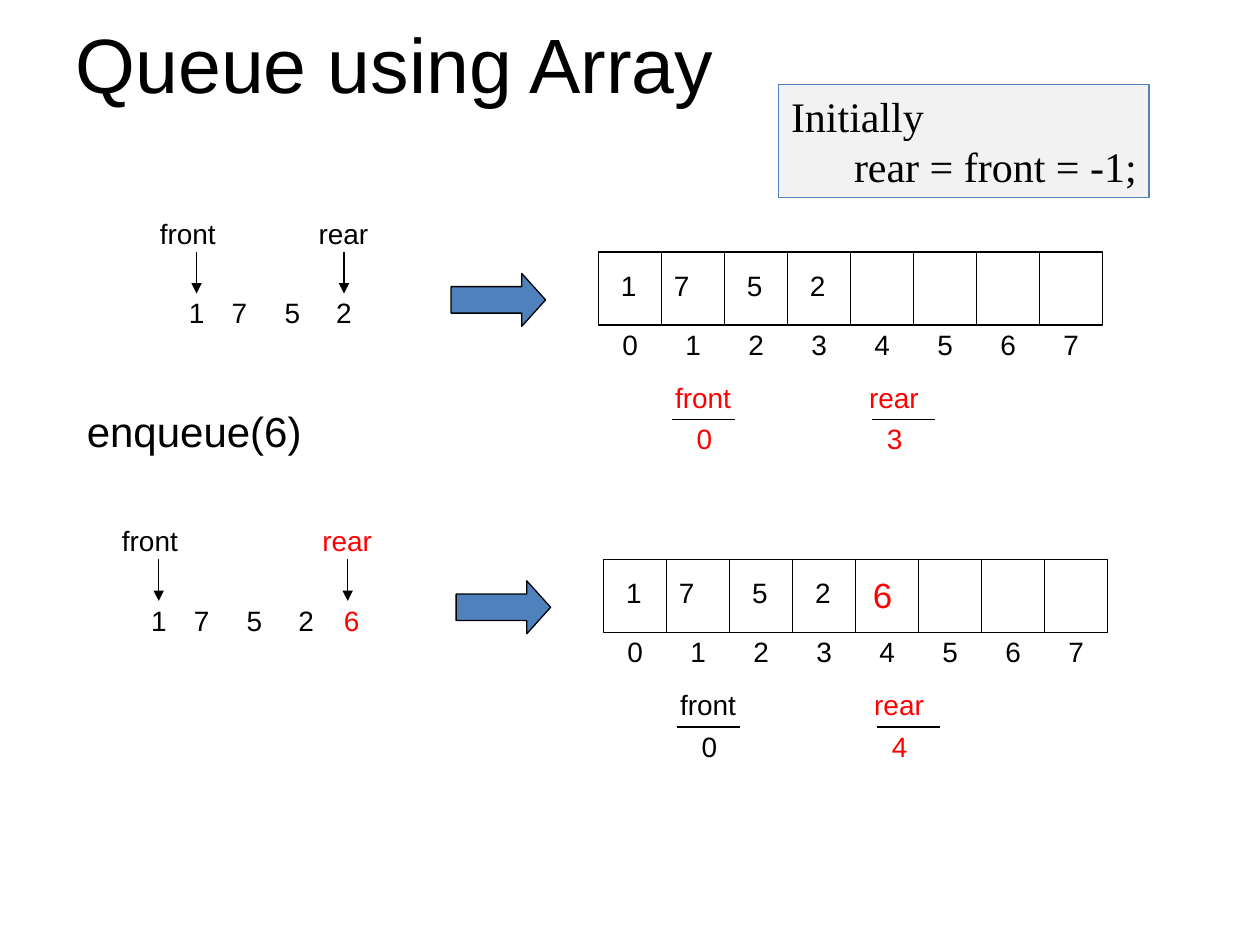
from dataclasses import dataclass

from lxml.etree import SubElement
from pptx import Presentation
from pptx.dml.color import RGBColor
from pptx.enum.shapes import MSO_CONNECTOR, MSO_SHAPE
from pptx.enum.text import MSO_ANCHOR, MSO_AUTO_SIZE, PP_ALIGN
from pptx.oxml.ns import qn
from pptx.util import Inches, Pt


@dataclass(frozen=True)
class Theme:
    black: RGBColor = RGBColor(0, 0, 0)
    red: RGBColor = RGBColor(255, 0, 0)
    white: RGBColor = RGBColor(255, 255, 255)
    blue: RGBColor = RGBColor(0x4F, 0x81, 0xBD)
    gray: RGBColor = RGBColor(0xF2, 0xF2, 0xF2)
    sans: str = "Arial"
    serif: str = "Times New Roman"
    title: Pt = Pt(44)
    heading: Pt = Pt(24)
    added: Pt = Pt(20)
    label: Pt = Pt(16)
    line: Pt = Pt(0.75)


THEME = Theme()
CELL_COUNT = 8
CELL_WIDTH = 0.5
CELL_HEIGHT = 0.58
DIGIT_WIDTH = 0.32
FRONT_WIDTH = 0.64
REAR_WIDTH = 0.6
LABEL_HEIGHT = 0.37


def set_font(paragraph, size, color, name=THEME.sans):
    paragraph.font.size = size
    paragraph.font.name = name
    paragraph.font.color.rgb = color
    paragraph.alignment = PP_ALIGN.LEFT


def add_label(shapes, text, left, top, width=DIGIT_WIDTH, color=THEME.black,
              size=THEME.label, height=LABEL_HEIGHT):
    box = shapes.add_textbox(Inches(left), Inches(top), Inches(width), Inches(height))
    box.text_frame.word_wrap = False
    box.text_frame.auto_size = MSO_AUTO_SIZE.SHAPE_TO_FIT_TEXT
    paragraph = box.text_frame.paragraphs[0]
    paragraph.text = text
    set_font(paragraph, size, color)


def add_line(shapes, start, end, arrow=False):
    x1, y1, x2, y2 = (Inches(value) for value in (*start, *end))
    connector = shapes.add_connector(MSO_CONNECTOR.STRAIGHT, x1, y1, x2, y2)
    connector.line.color.rgb = THEME.black
    connector.line.width = THEME.line
    properties = connector._element.spPr
    if arrow:
        SubElement(properties.find(qn("a:ln")), qn("a:tailEnd"), type="triangle")
    SubElement(properties, qn("a:effectLst"))


def add_filled_shape(shapes, kind, left, top, width, height, fill, outline):
    shape = shapes.add_shape(kind, Inches(left), Inches(top), Inches(width), Inches(height))
    shape.shadow.inherit = False
    shape.fill.solid()
    shape.fill.fore_color.rgb = fill
    shape.line.color.rgb = outline
    shape.line.width = THEME.line
    return shape


def add_title(slide, left, top, width, height):
    title = slide.shapes.title
    title.left, title.top = Inches(left), Inches(top)
    title.width, title.height = Inches(width), Inches(height)
    title.text_frame.vertical_anchor = MSO_ANCHOR.MIDDLE
    paragraph = title.text_frame.paragraphs[0]
    paragraph.text = "Queue using Array"
    set_font(paragraph, THEME.title, THEME.black)


def add_initial_note(slide, left, top, width, height):
    note = add_filled_shape(slide.shapes, MSO_SHAPE.RECTANGLE, left, top, width, height,
                            THEME.gray, THEME.blue)
    frame = note.text_frame
    frame.word_wrap = False
    frame.vertical_anchor = MSO_ANCHOR.TOP
    frame.text = "Initially\nrear = front = -1;"
    for paragraph in frame.paragraphs:
        set_font(paragraph, THEME.heading, THEME.black, THEME.serif)
    frame.paragraphs[1]._p.get_or_add_pPr().set("marL", str(Inches(0.5)))


def add_queue(slide, left, top, values, rear_offset, added=None):
    shapes = slide.shapes
    rear_color = THEME.red if added else THEME.black
    pointers = (("front", 0, FRONT_WIDTH, 0.39, THEME.black),
                ("rear", rear_offset, REAR_WIDTH, 0.3, rear_color))
    for text, offset, width, arrow_offset, color in pointers:
        add_label(shapes, text, left + offset, top, width, color)
        arrow_x = left + offset + arrow_offset
        add_line(shapes, (arrow_x, top + 0.33), (arrow_x, top + 0.66), arrow=True)
    for value, offset in zip(values, (0.23, 0.57, 0.99, 1.4)):
        add_label(shapes, value, left + offset, top + 0.63)
    if added:
        add_label(shapes, added, left + 1.76, top + 0.63, color=THEME.red)


def add_block_arrow(slide, left, top, width, height):
    arrow = add_filled_shape(slide.shapes, MSO_SHAPE.RIGHT_ARROW, left, top, width, height,
                             THEME.blue, THEME.black)
    arrow.adjustments[0] = 0.5
    arrow.adjustments[1] = 0.45


def add_array(slide, left, top, values, rear, front_color, added=None):
    shapes = slide.shapes.add_group_shape().shapes
    add_filled_shape(shapes, MSO_SHAPE.RECTANGLE, left, top, CELL_COUNT * CELL_WIDTH,
                     CELL_HEIGHT, THEME.white, THEME.black)
    for index in range(CELL_COUNT):
        cell_left = left + index * CELL_WIDTH
        if index:
            add_line(shapes, (cell_left, top), (cell_left, top + CELL_HEIGHT))
        add_label(shapes, str(index), cell_left + 0.09, top + 0.55)
    for value, offset in zip(values, (0.08, 0.5, 1.08, 1.58)):
        add_label(shapes, value, left + offset, top + 0.08)
    if added:
        add_label(shapes, added, left + 2.04, top + 0.06, 0.35, THEME.red,
                  THEME.added, 0.44)
    counters = (("front", "0", 0.51, FRONT_WIDTH, 0.68, 0.58, front_color),
                ("rear", rear, 2.05, REAR_WIDTH, 2.19, 2.17, THEME.red))
    for name, value, name_x, name_width, value_x, line_x, color in counters:
        add_label(shapes, name, left + name_x, top + 0.97, name_width, color)
        add_label(shapes, value, left + value_x, top + 1.3, color=color)
        add_line(shapes, (left + line_x, top + 1.33), (left + line_x + 0.5, top + 1.33))


def main():
    presentation = Presentation()
    presentation.slide_width = Inches(10)
    presentation.slide_height = Inches(7.5)
    slide = presentation.slides.add_slide(presentation.slide_layouts[5])
    values = "1752"

    add_title(slide, 0.5, 0, 9, 1)
    add_queue(slide, 1.17, 1.67, values, rear_offset=1.26)
    add_block_arrow(slide, 3.58, 2.17, 0.75, 0.42)
    add_array(slide, 4.75, 2, values, rear="3", front_color=THEME.red)
    add_label(slide.shapes, "enqueue(6)", 0.59, 3.17, 1.92, size=THEME.heading, height=0.5)
    add_queue(slide, 0.87, 4.11, values, rear_offset=1.59, added="6")
    add_block_arrow(slide, 3.62, 4.61, 0.75, 0.42)
    add_array(slide, 4.79, 4.44, values, rear="4", front_color=THEME.black, added="6")
    add_initial_note(slide, 6.18, 0.67, 2.94, 0.9)
    presentation.save("out.pptx")


if __name__ == "__main__":
    main()
